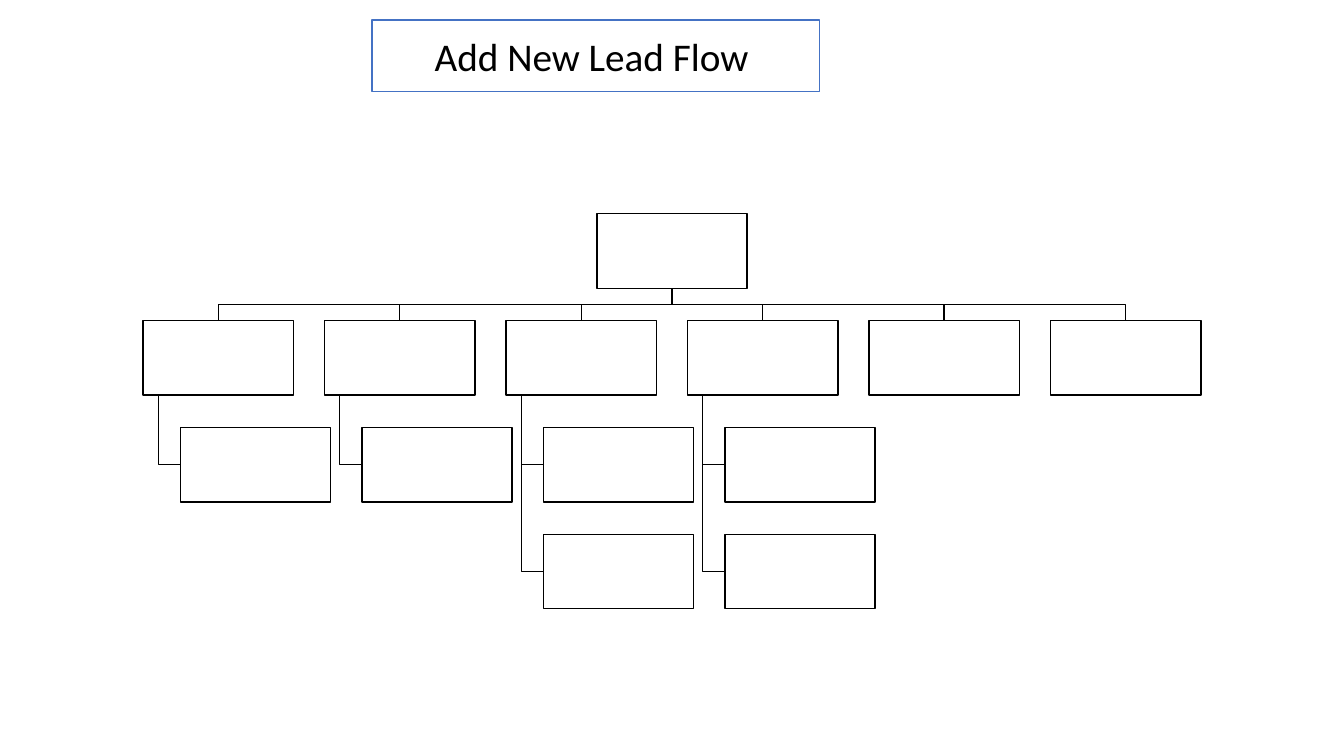
from dataclasses import dataclass

from pptx import Presentation
from pptx.dml.color import RGBColor
from pptx.enum.shapes import MSO_SHAPE as Shape
from pptx.enum.text import MSO_ANCHOR as Anchor, PP_ALIGN as Align
from pptx.shapes.autoshape import Shape as AutoShape
from pptx.util import Inches, Pt

# Grid of the chart, in inches
LEFT, TOP = 1.42, 2.12
COL, ROW = 1.8, 1.06
BOX_W, BOX_H = 1.49, 0.74
INDENT, TRUNK = 0.37, 0.15

CHILDREN_PER_BRANCH = [1, 1, 2, 2, 0, 0]
BLACK, WHITE, BLUE = "000000", "FFFFFF", "4472C4"


@dataclass(frozen=True)
class Node:
    col: float
    row: int
    indent: float = 0

    @property
    def left(self) -> float:
        return LEFT + self.col * COL + self.indent

    @property
    def top(self) -> float:
        return TOP + self.row * ROW

    @property
    def center(self) -> float:
        return self.left + BOX_W / 2

    @property
    def middle(self) -> float:
        return self.top + BOX_H / 2

    @property
    def bottom(self) -> float:
        return self.top + BOX_H


def rgb(color: str) -> RGBColor:
    return RGBColor.from_string(color)


def set_line(s: AutoShape, color: str) -> None:
    s.shadow.inherit = False
    s.line.color.rgb = rgb(color)
    s.line.width = Pt(1)


def add_box(shapes, left: float, top: float, width: float, height: float,
            color: str = BLACK) -> AutoShape:
    s = shapes.add_shape(Shape.RECTANGLE, Inches(left), Inches(top),
                         Inches(width), Inches(height))
    s.fill.solid()
    s.fill.fore_color.rgb = rgb(WHITE)
    set_line(s, color)
    return s


def add_path(shapes, points: list[tuple[float, float]]) -> None:
    start, *rest = [(Inches(x), Inches(y)) for x, y in points]
    builder = shapes.build_freeform(*start)
    builder.add_line_segments(rest, close=False)
    s = builder.convert_to_shape()
    s.fill.background()
    set_line(s, BLACK)


def link_branch(shapes, root: Node, branch: Node) -> None:
    bus = (root.bottom + branch.top) / 2
    add_path(shapes, [(root.center, root.bottom), (root.center, bus),
                      (branch.center, bus), (branch.center, branch.top)])


def link_child(shapes, branch: Node, child: Node) -> None:
    trunk = branch.left + TRUNK
    add_path(shapes, [(trunk, branch.bottom), (trunk, child.middle),
                      (child.left, child.middle)])


def add_tree(shapes) -> None:
    root = Node((len(CHILDREN_PER_BRANCH) - 1) / 2, 0)
    nodes = [root]
    for col, count in enumerate(CHILDREN_PER_BRANCH):
        branch = Node(col, 1)
        children = [Node(col, 2 + i, INDENT) for i in range(count)]
        link_branch(shapes, root, branch)
        for child in children:
            link_child(shapes, branch, child)
        nodes += [branch, *children]
    for node in nodes:
        add_box(shapes, node.left, node.top, BOX_W, BOX_H)


def add_title(shapes) -> None:
    tf = add_box(shapes, 3.69, 0.2, 4.44, 0.71, BLUE).text_frame
    tf.text = "Add New Lead Flow "
    tf.word_wrap = True
    tf.vertical_anchor = Anchor.MIDDLE
    p = tf.paragraphs[0]
    p.alignment = Align.CENTER
    r = p.runs[0]
    r.font.name = "Calibri"
    r.font.size = Pt(28)
    r.font.color.rgb = rgb(BLACK)


def main() -> None:
    prs = Presentation()
    prs.slide_width, prs.slide_height = Inches(13.33), Inches(7.5)
    shapes = prs.slides.add_slide(prs.slide_layouts[6]).shapes
    add_tree(shapes)
    add_title(shapes)
    prs.save("out.pptx")


if __name__ == "__main__":
    main()
